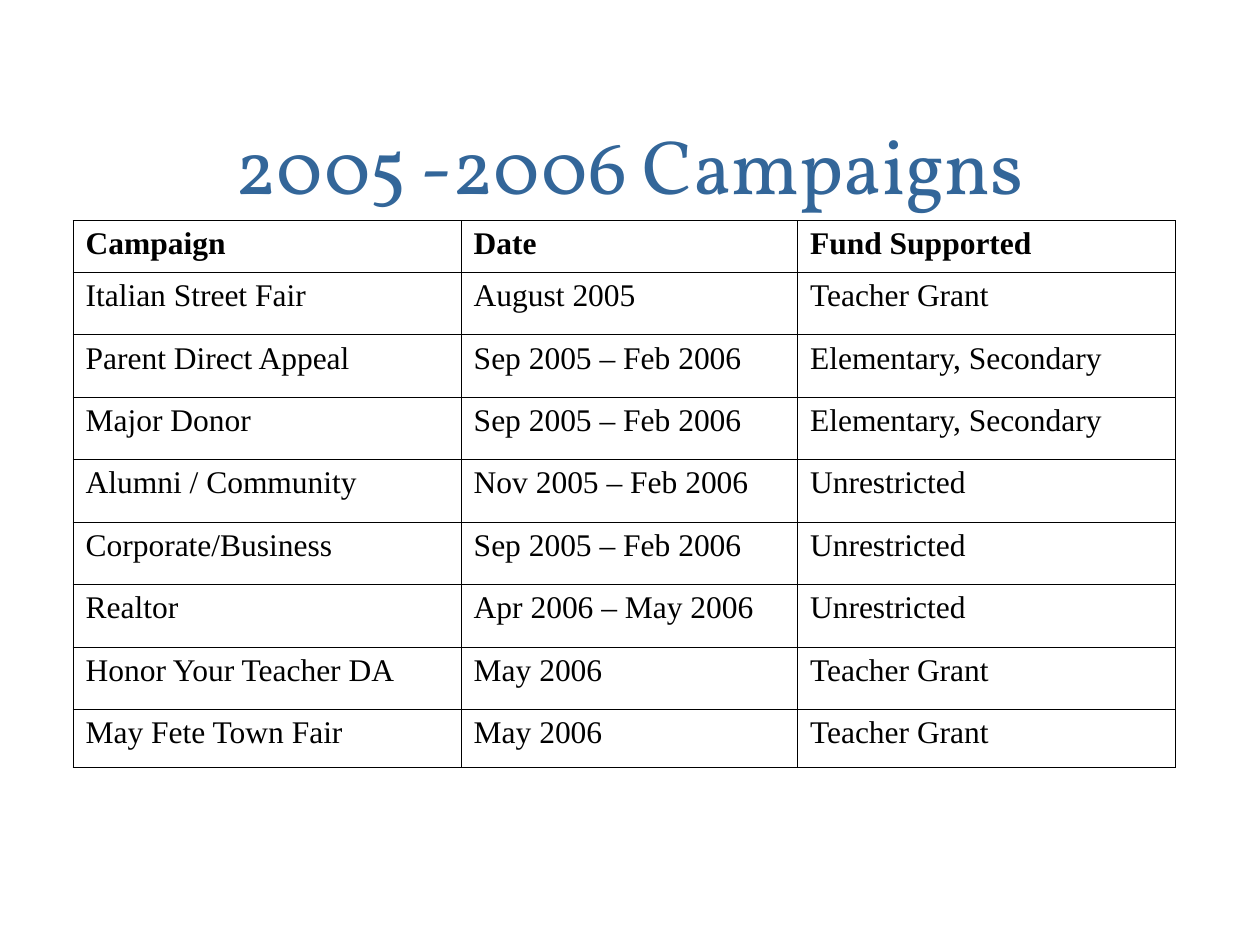
"""Build a slide with a table of the 2005-2006 fundraising campaigns."""
import lxml.etree
import pptx
import pptx.dml.color
import pptx.enum.text
import pptx.oxml.ns
import pptx.util

Inches = pptx.util.Inches
Pt = pptx.util.Pt

TITLE = "2005 -2006 Campaigns"
CAMPAIGNS = [
    ("Campaign", "Date", "Fund Supported"),
    ("Italian Street Fair", "August 2005", "Teacher Grant"),
    ("Parent Direct Appeal", "Sep 2005 – Feb 2006", "Elementary, Secondary"),
    ("Major Donor", "Sep 2005 – Feb 2006", "Elementary, Secondary"),
    ("Alumni / Community", "Nov 2005 – Feb 2006", "Unrestricted"),
    ("Corporate/Business", "Sep 2005 – Feb 2006", "Unrestricted"),
    ("Realtor", "Apr 2006 – May 2006", "Unrestricted"),
    ("Honor Your Teacher DA", "May 2006", "Teacher Grant"),
    ("May Fete Town Fair", "May 2006", "Teacher Grant"),
]
COLORS = {"title": "336699", "text": "000000", "border": "000000"}
COLUMN_WIDTHS = (3.08, 2.67, 3)
TABLE_HEIGHT, HEADER_HEIGHT, LAST_HEIGHT = 4.34, 0.41, 0.46
HANGING_INDENT = 0.38
BORDER_WIDTH = 0.45


def style_font(font, name, size, color, bold=False):
    font.name = name
    font.size = Pt(size)
    font.bold = bold
    font.color.rgb = pptx.dml.color.RGBColor.from_string(color)


def add_borders(cell):
    properties = cell._tc.get_or_add_tcPr()
    qn = pptx.oxml.ns.qn
    for position, side in enumerate(("lnL", "lnR", "lnT", "lnB")):
        border = lxml.etree.Element(qn(f"a:{side}"), w=str(Pt(BORDER_WIDTH)))
        fill = lxml.etree.SubElement(border, qn("a:solidFill"))
        lxml.etree.SubElement(fill, qn("a:srgbClr"), val=COLORS["border"])
        properties.insert(position, border)


def add_title(slide):
    frame = slide.shapes.add_textbox(
        Inches(0.75), Inches(0.67), Inches(8.5), Inches(1.25)).text_frame
    frame.word_wrap = True
    frame.vertical_anchor = pptx.enum.text.MSO_ANCHOR.MIDDLE
    heading = frame.paragraphs[0]
    heading.text = TITLE
    heading.alignment = pptx.enum.text.PP_ALIGN.CENTER
    style_font(heading.font, "Vollkorn", 44, COLORS["title"])


def add_campaigns(slide):
    table = slide.shapes.add_table(
        len(CAMPAIGNS), len(COLUMN_WIDTHS), Inches(0.58), Inches(1.75),
        Inches(sum(COLUMN_WIDTHS)), Inches(TABLE_HEIGHT)).table
    table.horz_banding = False
    for column, width in zip(table.columns, COLUMN_WIDTHS):
        column.width = Inches(width)
    middle_count = len(CAMPAIGNS) - 2
    middle_height = (TABLE_HEIGHT - HEADER_HEIGHT - LAST_HEIGHT) / middle_count
    heights = [HEADER_HEIGHT] + [middle_height] * middle_count + [LAST_HEIGHT]
    for index, (campaign, height) in enumerate(zip(CAMPAIGNS, heights)):
        table.rows[index].height = Inches(height)
        for cell, wording in zip(table.rows[index].cells, campaign):
            cell.text = wording
            cell.fill.background()
            add_borders(cell)
            paragraph = cell.text_frame.paragraphs[0]
            indents = paragraph._p.get_or_add_pPr()
            indents.set("marL", str(Inches(HANGING_INDENT)))
            indents.set("indent", str(-Inches(HANGING_INDENT)))
            style_font(paragraph.font, "Times New Roman", 18,
                       COLORS["text"], bold=index == 0)


def main():
    deck = pptx.Presentation()
    deck.slide_width, deck.slide_height = Inches(10), Inches(7.5)
    slide = deck.slides.add_slide(deck.slide_layouts[6])
    add_title(slide)
    add_campaigns(slide)
    deck.save("out.pptx")


if __name__ == "__main__":
    main()
